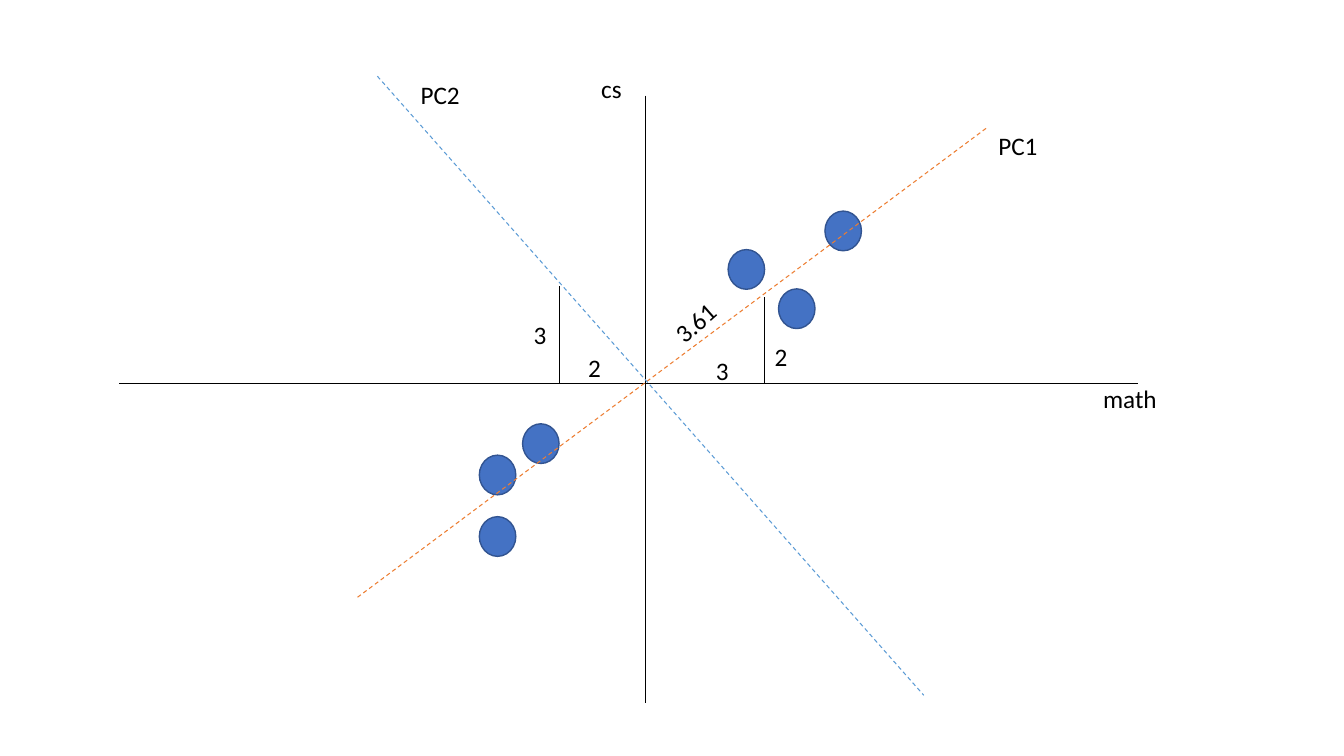
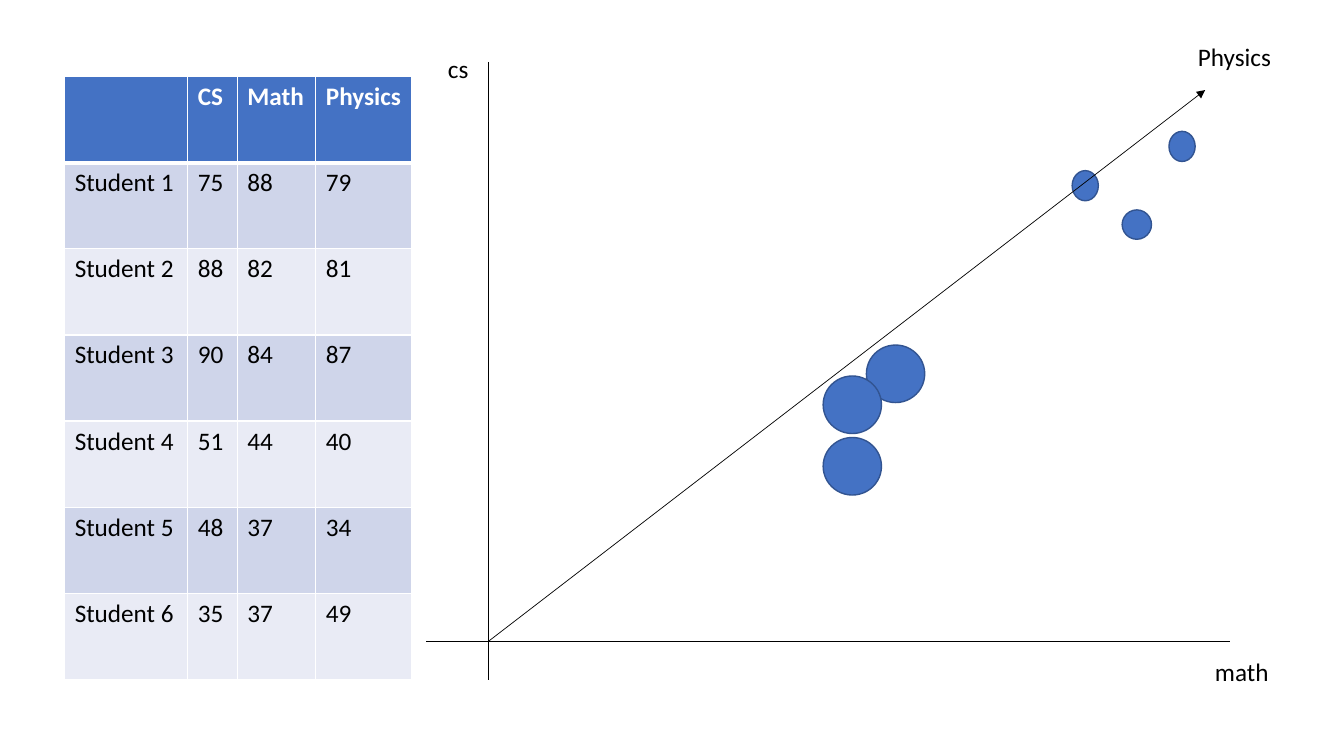
from dataclasses import dataclass

from lxml import etree
from pptx import Presentation
from pptx.dml.color import RGBColor
from pptx.enum import dml, shapes, text
from pptx.oxml import ns
from pptx.util import Cm, Pt

FONT = "Calibri"
FONT_SIZE = 18
BLACK, WHITE = "000000", "FFFFFF"
BLUE, DARK_BLUE = "4472C4", "325491"
ORANGE, LIGHT_BLUE = "ED7D31", "5B9BD5"
ROW_FILLS = ("CFD5EA", "E9EBF5")
LABEL_HEIGHT = 1.02


@dataclass
class Box:
    """A rectangle in centimetres."""
    left: float
    top: float
    width: float
    height: float


@dataclass
class Plot:
    """A pair of axes filling a box, crossing at an offset from its corner."""
    slide: object
    box: Box
    offset: tuple

    def place(self, x, y):
        """Turn centimetres right of and above the crossing into slide lengths."""
        return (Cm(self.box.left + self.offset[0] + x),
                Cm(self.box.top + self.offset[1] - y))


def color(value):
    """Return a colour from a hex string."""
    return RGBColor.from_string(value)


def add_run(paragraph, words, fill=BLACK, bold=False):
    """Add one formatted run to a paragraph."""
    run = paragraph.add_run()
    run.text = words
    run.font.name = FONT
    run.font.size = Pt(FONT_SIZE)
    run.font.bold = bold
    run.font.color.rgb = color(fill)


def add_line(plot, start, end, stroke=BLACK, weight=0.5, dashed=False, arrow=False):
    """Draw a straight line between two points of a plot."""
    connector = plot.slide.shapes.add_connector(
        shapes.MSO_CONNECTOR.STRAIGHT, *plot.place(*start), *plot.place(*end))
    connector.line.color.rgb = color(stroke)
    connector.line.width = Pt(weight)
    if dashed:
        connector.line.dash_style = dml.MSO_LINE.DASH
    properties = connector.element.spPr
    if arrow:
        outline = properties.find(ns.qn("a:ln"))
        etree.SubElement(outline, ns.qn("a:tailEnd"), type="triangle")
    etree.SubElement(properties, ns.qn("a:effectLst"))


def add_axes(plot):
    """Draw both axes across the box of a plot."""
    right, down = plot.offset
    add_line(plot, (-right, 0), (plot.box.width - right, 0))
    add_line(plot, (0, down), (0, down - plot.box.height))


def add_dot(plot, center, size):
    """Draw a data point around its centre."""
    width, height = size
    left, top = plot.place(center[0] - width / 2, center[1] + height / 2)
    shape = plot.slide.shapes.add_shape(
        shapes.MSO_SHAPE.OVAL, left, top, Cm(width), Cm(height))
    shape.shadow.inherit = False
    shape.fill.solid()
    shape.fill.fore_color.rgb = color(BLUE)
    shape.line.color.rgb = color(DARK_BLUE)
    shape.line.width = Pt(1)


def add_label(plot, words, corner, width, rotation=0):
    """Write a label with its top left corner at a point of a plot."""
    shape = plot.slide.shapes.add_textbox(
        *plot.place(*corner), Cm(width), Cm(LABEL_HEIGHT))
    shape.rotation = rotation
    shape.text_frame.word_wrap = False
    shape.text_frame.auto_size = text.MSO_AUTO_SIZE.SHAPE_TO_FIT_TEXT
    add_run(shape.text_frame.paragraphs[0], words)


def add_borders(cell_element, bottom):
    """Give a table cell white borders."""
    properties = cell_element.get_or_add_tcPr()
    weights = {"lnL": 1, "lnR": 1, "lnT": 1, "lnB": bottom}
    for index, (side, weight) in enumerate(weights.items()):
        border = etree.Element(ns.qn(f"a:{side}"), w=str(Pt(weight)))
        fill = etree.SubElement(border, ns.qn("a:solidFill"))
        etree.SubElement(fill, ns.qn("a:srgbClr"), val=WHITE)
        properties.insert(index, border)


def add_score_table(slide, box, rows, widths):
    """Fill a box with a banded table under a blue header row."""
    frame = slide.shapes.add_table(
        len(rows), len(widths), Cm(box.left), Cm(box.top), Cm(box.width), Cm(box.height))
    table = frame.table
    for column, width in zip(table.columns, widths):
        column.width = Cm(width)
    for row_index, row in enumerate(rows):
        header = row_index == 0
        table.rows[row_index].height = Cm(box.height / len(rows))
        for column_index, value in enumerate(row):
            cell = table.cell(row_index, column_index)
            cell.fill.solid()
            cell.fill.fore_color.rgb = color(BLUE if header else ROW_FILLS[(row_index - 1) % 2])
            if value:
                add_run(cell.text_frame.paragraphs[0], value,
                        WHITE if header else BLACK, header)
    for index, cell_element in enumerate(frame.element.iter(ns.qn("a:tc"))):
        add_borders(cell_element, 3 if index < len(widths) else 1)


def build_components(slide, box):
    """Plot the students with both principal components."""
    plot = Plot(slide, box, (13.26, 7.26))
    for center in ((4.98, 3.85), (2.54, 2.88), (3.81, 1.89),
                   (-2.64, -1.51), (-3.73, -2.3), (-3.73, -3.85)):
        add_dot(plot, center, (0.92, 1))
    add_axes(plot)
    add_line(plot, (-7.26, -5.38), (8.64, 6.48), ORANGE, 0.75, dashed=True)
    add_line(plot, (-6.76, 7.75), (7.01, -7.85), LIGHT_BLUE, 0.75, dashed=True)
    for x, height in ((3, 2.18), (-2.18, 2.46)):
        add_line(plot, (x, 0), (x, height))
    for words, corner, width in (
            ("cs", (-1.37, 7.95), 1.04),
            ("math", (11.28, 0.13), 1.88),
            ("PC1", (8.64, 6.5), 1.5),
            ("PC2", (-5.92, 7.8), 1.5),
            ("3", (1.52, 0.84), 0.84),
            ("2", (3, 1.19), 0.84),
            ("2", (-1.7, 0.91), 0.84),
            ("3", (-3.07, 1.75), 0.84)):
        add_label(plot, words, corner, width)
    add_label(plot, "3.61", (0.43, 2.06), 1.65, 318.5)


def build_subjects(slide, box):
    """Plot the students by subject, with physics as a depth axis."""
    plot = Plot(slide, box, (1.57, 14.6))
    far, round_far, near = (0.66, 0.76), (0.74, 0.74), (1.47, 1.45)
    add_axes(plot)
    for center, size in (
            ((17.48, 12.47), far), ((15.04, 11.48), far), ((16.34, 10.5), round_far),
            ((10.26, 6.74), near), ((9.17, 5.96), near), ((9.17, 4.41), near)):
        add_dot(plot, center, size)
    add_line(plot, (0, 0), (18.06, 13.89), arrow=True)
    for words, corner, width in (
            ("cs", (-1.27, 14.94), 1.04),
            ("math", (18.06, -0.25), 1.88),
            ("Physics", (17.63, 15.24), 2.36)):
        add_label(plot, words, corner, width)


def main():
    """Build both slides and save them."""
    presentation = Presentation()
    presentation.slide_width, presentation.slide_height = Cm(33.87), Cm(19.05)
    blank = presentation.slide_layouts[6]

    build_components(presentation.slides.add_slide(blank), Box(3.01, 2.41, 25.68, 15.31))

    slide = presentation.slides.add_slide(blank)
    scores = ((75, 88, 79), (88, 82, 81), (90, 84, 87),
              (51, 44, 40), (48, 37, 34), (35, 37, 49))
    rows = [("", "CS", "Math", "Physics")]
    rows += [(f"Student {number}", *map(str, score))
             for number, score in enumerate(scores, 1)]
    add_score_table(slide, Box(1.63, 1.93, 8.74, 15.19), rows, (3.1, 1.25, 1.98, 2.41))
    build_subjects(slide, Box(10.74, 1.56, 20.26, 15.57))

    presentation.save("out.pptx")


main()
